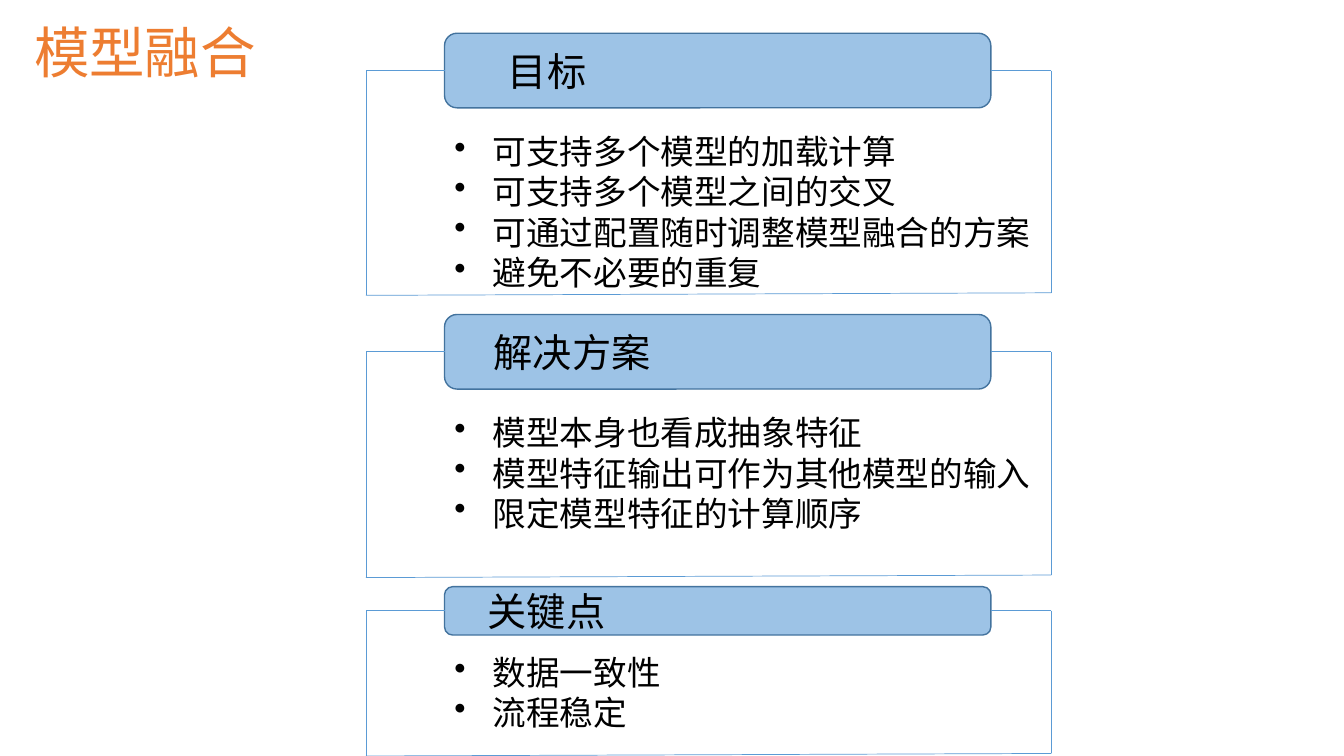
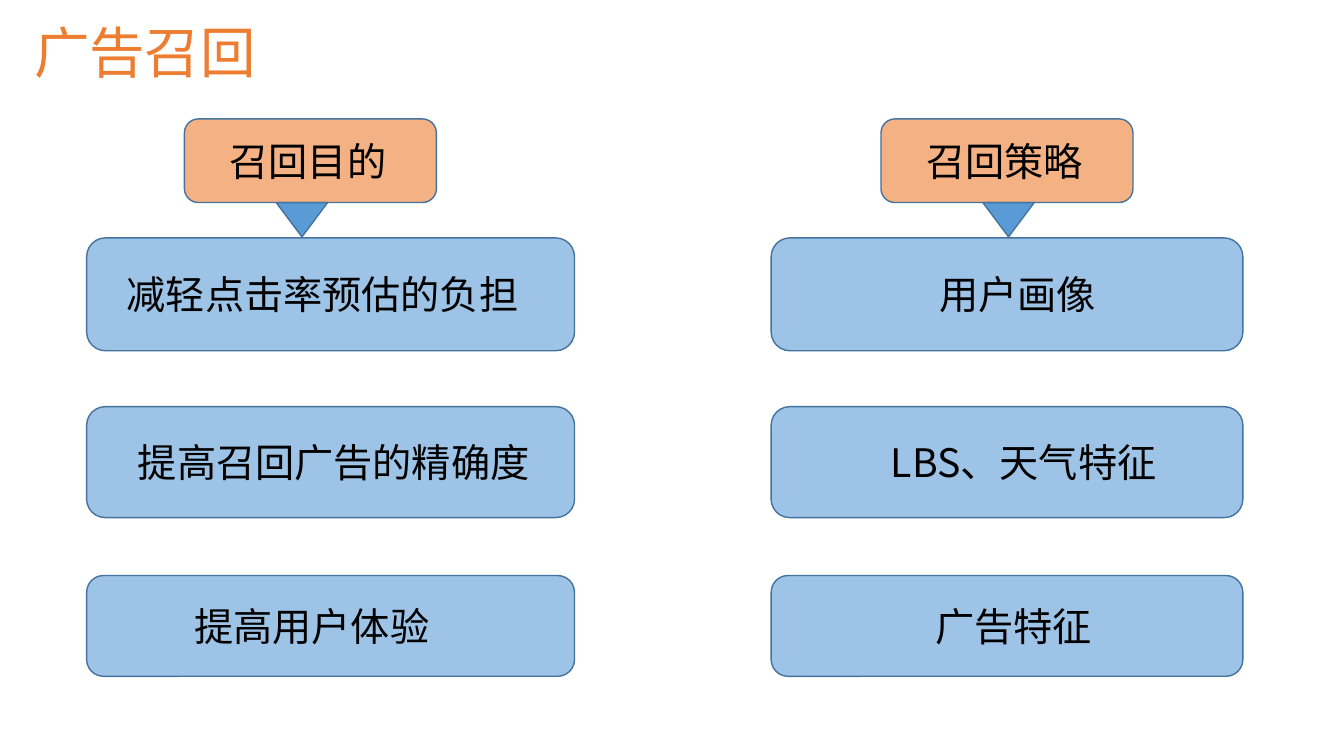
import dataclasses

import lxml.etree
import pptx
import pptx.dml.color
import pptx.enum.shapes
import pptx.enum.text
import pptx.oxml.ns
import pptx.presentation
import pptx.shapes.autoshape
import pptx.shapes.connector
import pptx.slide
import pptx.text.text
import pptx.util

# The slide is a grid of square cells, ten to the inch.
CELL = 0.1
SLIDE_COLUMNS, SLIDE_ROWS = 133.33, 75

FONT = "Noto Sans CJK SC"
BLACK = "000000"
TITLE_COLOR = "ED7D31"
BOX_FILL = "9DC3E6"
TAG_FILL = "F4B183"
POINTER_FILL = "5B9BD5"
BOX_LINE = "43739E"
FRAME_LINE = "5B9BD5"

TITLE_SIZE, LABEL_SIZE, BULLET_SIZE = 39.6, 28, 24
BULLET_PITCH = 28.8
BULLET_INDENT = 3.8
# Share of a rounded box's height that its corners take from the text area.
CORNER_INSET = 0.05

PANEL_LEFT, PANEL_WIDTH = 44.1, 54.2
FRAME_LEFT, FRAME_RIGHT, FRAME_SLOPE = 36.3, 104.3, 0.25
BULLETS_WIDTH = 60.2

TAG_TOP, TAG_WIDTH, TAG_HEIGHT = 11.8, 25, 8.3
POINTER_WIDTH, POINTER_HEIGHT = 5.1, 3.4
CARD_TOP, CARD_PITCH = 23.6, 16.75
CARD_HEIGHTS = (11.2, 11, 10)

ROUNDED = pptx.enum.shapes.MSO_SHAPE.ROUNDED_RECTANGLE
TRIANGLE = pptx.enum.shapes.MSO_SHAPE.ISOSCELES_TRIANGLE
MIDDLE = pptx.enum.text.MSO_ANCHOR.MIDDLE
LEFT = pptx.enum.text.PP_ALIGN.LEFT


@dataclasses.dataclass(frozen=True)
class Area:
    left: float
    top: float
    width: float
    height: float


@dataclasses.dataclass(frozen=True)
class Label:
    text: str
    indent: float


@dataclasses.dataclass(frozen=True)
class Panel:
    heading: Label
    top: float
    height: float
    bullets_top: float
    bottom: float
    bullets: tuple[str, ...]


@dataclasses.dataclass(frozen=True)
class CardColumn:
    tag: Label
    tag_left: float
    pointer_left: float
    left: float
    width: float
    cards: tuple[Label, ...]


PANELS = (
    Panel(Label("目标", 6.3), 3.3, 7.4, 12.5, 29.3,
          ("可支持多个模型的加载计算", "可支持多个模型之间的交叉",
           "可通过配置随时调整模型融合的方案", "避免不必要的重复")),
    Panel(Label("解决方案", 4.9), 31.2, 7.4, 40.4, 57.3,
          ("模型本身也看成抽象特征", "模型特征输出可作为其他模型的输入",
           "限定模型特征的计算顺序")),
    Panel(Label("关键点", 4.3), 58.2, 4.8, 64.2, 75,
          ("数据一致性", "流程稳定")),
)

CARD_COLUMNS = (
    CardColumn(Label("召回目的", 4.5), 18.3, 27.4, 8.6, 48.4,
               (Label("减轻点击率预估的负担", 4), Label("提高召回广告的精确度", 5.1),
                Label("提高用户体验", 10.7))),
    CardColumn(Label("召回策略", 4.5), 87.4, 97.5, 76.5, 46.8,
               (Label("用户画像", 16.7), Label("LBS、天气特征", 11.9),
                Label("广告特征", 16.3))),
)


def cells(count: float) -> pptx.util.Length:
    return pptx.util.Inches(count * CELL)


def color(value: str) -> pptx.dml.color.RGBColor:
    return pptx.dml.color.RGBColor.from_string(value)


def place(area: Area) -> tuple[pptx.util.Length, ...]:
    return tuple(cells(length) for length in dataclasses.astuple(area))


def style_paragraph(paragraph: pptx.text.text._Paragraph, size: float,
                    font_color: str = BLACK) -> None:
    """Set the font for both Latin and East Asian characters."""
    paragraph.alignment = LEFT
    font = paragraph.font
    font.size = pptx.util.Pt(size)
    font.color.rgb = color(font_color)
    font.name = FONT
    properties = paragraph._p.pPr.find(pptx.oxml.ns.qn("a:defRPr"))
    east_asian = lxml.etree.SubElement(properties, pptx.oxml.ns.qn("a:ea"))
    east_asian.set("typeface", FONT)


def add_text_box(slide: pptx.slide.Slide, area: Area) -> pptx.text.text.TextFrame:
    frame = slide.shapes.add_textbox(*place(area)).text_frame
    frame.word_wrap = True
    return frame


def add_title(slide: pptx.slide.Slide, text: str) -> None:
    frame = add_text_box(slide, Area(2.4, 1.8, 115, 7.4))
    frame.vertical_anchor = MIDDLE
    paragraph = frame.paragraphs[0]
    paragraph.text = text
    paragraph.line_spacing = 0.9
    style_paragraph(paragraph, TITLE_SIZE, TITLE_COLOR)


def add_filled_shape(slide: pptx.slide.Slide, kind: pptx.enum.shapes.MSO_SHAPE,
                     area: Area, fill: str) -> pptx.shapes.autoshape.Shape:
    shape = slide.shapes.add_shape(kind, *place(area))
    shape.shadow.inherit = False
    shape.fill.solid()
    shape.fill.fore_color.rgb = color(fill)
    shape.line.color.rgb = color(BOX_LINE)
    shape.line.width = pptx.util.Pt(1)
    return shape


def add_box(slide: pptx.slide.Slide, area: Area, label: Label,
            fill: str = BOX_FILL) -> pptx.shapes.autoshape.Shape:
    """Add a rounded box whose text starts at the label's indent."""
    box = add_filled_shape(slide, ROUNDED, area, fill)
    frame = box.text_frame
    frame.word_wrap = True
    frame.vertical_anchor = MIDDLE
    frame.margin_left = cells(label.indent - CORNER_INSET * area.height)
    frame.margin_right = frame.margin_top = frame.margin_bottom = 0
    paragraph = frame.paragraphs[0]
    paragraph.text = label.text
    style_paragraph(paragraph, LABEL_SIZE)
    return box


def add_bullets(slide: pptx.slide.Slide, area: Area, items: tuple[str, ...]) -> None:
    frame = add_text_box(slide, area)
    for index, item in enumerate(items):
        paragraph = frame.add_paragraph() if index else frame.paragraphs[0]
        paragraph.text = item
        properties = paragraph._p.get_or_add_pPr()
        properties.set("marL", str(cells(BULLET_INDENT)))
        properties.set("indent", str(-cells(BULLET_INDENT)))
        bullet = lxml.etree.SubElement(properties, pptx.oxml.ns.qn("a:buChar"))
        bullet.set("char", "•")
        paragraph.line_spacing = pptx.util.Pt(BULLET_PITCH)
        style_paragraph(paragraph, BULLET_SIZE)


def add_line(slide: pptx.slide.Slide, start: tuple[float, float],
             end: tuple[float, float]) -> pptx.shapes.connector.Connector:
    line = slide.shapes.add_connector(
        pptx.enum.shapes.MSO_CONNECTOR.STRAIGHT,
        *(cells(length) for length in (*start, *end)))
    line.line.color.rgb = color(FRAME_LINE)
    line.line.width = pptx.util.Pt(0.5)
    lxml.etree.SubElement(line._element.spPr, pptx.oxml.ns.qn("a:effectLst"))
    return line


def add_panel(slide: pptx.slide.Slide, panel: Panel) -> None:
    """Add a heading box, its bullets and the frame that hangs from it."""
    box = add_box(slide, Area(PANEL_LEFT, panel.top, PANEL_WIDTH, panel.height),
                  panel.heading)
    middle = panel.top + panel.height / 2
    corners = (
        (PANEL_LEFT, middle),
        (FRAME_LEFT, middle),
        (FRAME_LEFT, panel.bottom),
        (FRAME_RIGHT, panel.bottom - FRAME_SLOPE),
        (FRAME_RIGHT, middle),
        (PANEL_LEFT + PANEL_WIDTH, middle),
    )
    lines = [add_line(slide, *ends) for ends in zip(corners, corners[1:])]
    lines[0].begin_connect(box, 1)
    lines[-1].end_connect(box, 3)
    add_bullets(slide, Area(PANEL_LEFT, panel.bullets_top, BULLETS_WIDTH,
                            4 * len(panel.bullets) + 1), panel.bullets)


def add_card_column(slide: pptx.slide.Slide, column: CardColumn) -> None:
    for row, (card, height) in enumerate(zip(column.cards, CARD_HEIGHTS)):
        top = CARD_TOP + row * CARD_PITCH
        add_box(slide, Area(column.left, top, column.width, height), card)
    add_box(slide, Area(column.tag_left, TAG_TOP, TAG_WIDTH, TAG_HEIGHT),
            column.tag, TAG_FILL)
    pointer = add_filled_shape(
        slide, TRIANGLE,
        Area(column.pointer_left, TAG_TOP + TAG_HEIGHT, POINTER_WIDTH, POINTER_HEIGHT),
        POINTER_FILL)
    pointer.rotation = 180


def add_slide(presentation: pptx.presentation.Presentation,
              title: str) -> pptx.slide.Slide:
    slide = presentation.slides.add_slide(presentation.slide_layouts[6])
    add_title(slide, title)
    return slide


def main() -> None:
    presentation = pptx.Presentation()
    presentation.slide_width = cells(SLIDE_COLUMNS)
    presentation.slide_height = cells(SLIDE_ROWS)

    fusion_slide = add_slide(presentation, "模型融合")
    for panel in PANELS:
        add_panel(fusion_slide, panel)

    recall_slide = add_slide(presentation, "广告召回")
    for column in CARD_COLUMNS:
        add_card_column(recall_slide, column)

    presentation.save("out.pptx")


if __name__ == "__main__":
    main()
